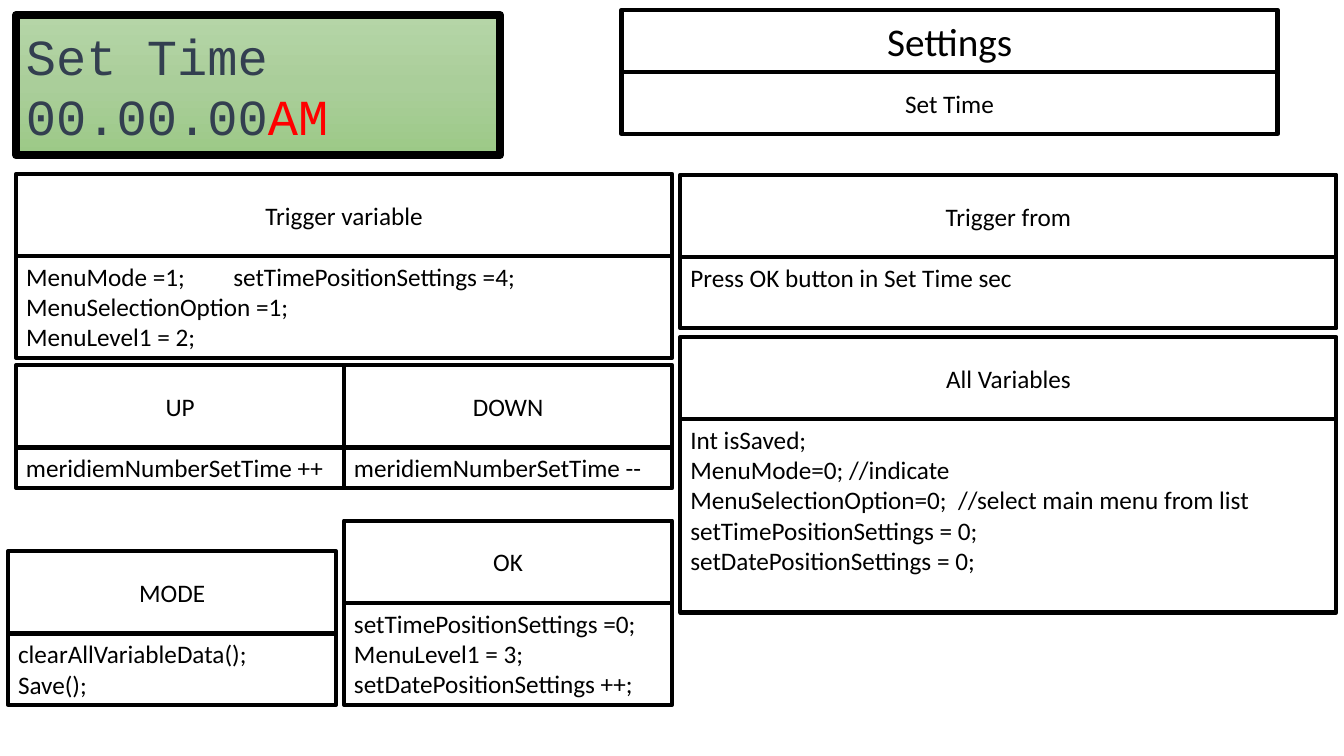
from copy import deepcopy
from dataclasses import dataclass

from pptx import Presentation
from pptx.dml.color import RGBColor
from pptx.enum.shapes import MSO_SHAPE
from pptx.enum.text import MSO_ANCHOR, PP_ALIGN
from pptx.oxml.ns import qn
from pptx.util import Pt

RECT = MSO_SHAPE.RECTANGLE
TOP, MIDDLE = MSO_ANCHOR.TOP, MSO_ANCHOR.MIDDLE
LEFT, CENTER = PP_ALIGN.LEFT, PP_ALIGN.CENTER


@dataclass(frozen=True)
class Theme:
    ink: str = "000000"
    paper: str = "FFFFFF"
    screen: tuple = ((0, "B5D5A7"), (0.5, "AACE9A"), (1, "9CC987"))
    digit: str = "333F50"
    active: str = "FF0000"
    font: str = "Calibri"
    mono: str = "Courier New"
    body: int = 18
    title: int = 28
    screen_size: int = 36
    border: int = 3
    frame: int = 6


THEME = Theme()
WIDE = 468.6
HALF = WIDE / 2
COL_A = 11.5
COL_B = COL_A + HALF
COL_C = 486
HEAD = 58.8
ROW = 21.8
PAD = 7.2


def rgb(color):
    return RGBColor.from_string(color)


def write(shape, lines, size=THEME.body, font=THEME.font, color=THEME.ink,
          align=LEFT, anchor=TOP):
    """Fill a shape with lines, each a string or a list of (text, color)."""
    frame = shape.text_frame
    frame.word_wrap = True
    frame.vertical_anchor = anchor
    for i, line in enumerate(lines):
        para = frame.paragraphs[0] if i == 0 else frame.add_paragraph()
        para.alignment = align
        parts = [(line, color)] if isinstance(line, str) else line
        for text, tint in parts:
            run = para.add_run()
            run.text = text
            run.font.size = Pt(size)
            run.font.name = font
            run.font.color.rgb = rgb(tint)


def box(slide, x, y, w, h, fill=None, border=THEME.border):
    shape = slide.shapes.add_shape(RECT, Pt(x), Pt(y), Pt(w), Pt(h))
    shape.shadow.inherit = False
    shape.line.color.rgb = rgb(THEME.ink)
    shape.line.width = Pt(border)
    if fill:
        shape.fill.solid()
        shape.fill.fore_color.rgb = rgb(fill)
    else:
        shape.fill.background()
    return shape


def shade(shape, stops):
    """Give a shape a gradient that runs from top to bottom."""
    shape.fill.gradient()
    shape.fill.gradient_angle = 270
    first = next(shape._element.spPr.iter(qn("a:gs")))
    for _ in stops[2:]:
        first.addnext(deepcopy(first))
    for stop, (place, color) in zip(shape.fill.gradient_stops, stops):
        stop.position = place
        stop.color.rgb = rgb(color)


def header(slide, text, x, y, w, h=HEAD, size=THEME.body):
    shape = box(slide, x, y, w, h, fill=THEME.paper)
    write(shape, [text], size=size, align=CENTER, anchor=MIDDLE)


def panel(slide, title, lines, x, y, w, rows=None):
    """Draw a header with a body below it, tall enough for its rows."""
    tall = PAD + ROW * (rows or len(lines))
    write(box(slide, x, y + HEAD, w, tall), lines)
    header(slide, title, x, y, w)


def screen(slide):
    shape = box(slide, COL_A, 10.8, 345.6, 100, border=THEME.frame)
    shade(shape, THEME.screen)
    write(shape, ["Set Time", [("00.00.00", THEME.digit), ("AM", THEME.active)]],
          size=THEME.screen_size, font=THEME.mono, color=THEME.digit,
          anchor=MIDDLE)


def main():
    deck = Presentation()
    deck.slide_width, deck.slide_height = Pt(960), Pt(540)
    slide = deck.slides.add_slide(deck.slide_layouts[6])

    screen(slide)
    header(slide, "Settings", 444, 7, WIDE, h=44.4, size=THEME.title)
    header(slide, "Set Time", 444, 51.4, WIDE, h=44.4)

    panels = [
        ("Trigger variable",
         ["MenuMode =1; \t setTimePositionSettings =4;",
          "MenuSelectionOption =1;", "MenuLevel1 = 2;"],
         COL_A, 124.3, WIDE),
        ("Trigger from", ["Press OK button in Set Time sec"],
         COL_C, 124.9, WIDE, 2),
        ("All Variables",
         ["Int isSaved;", "MenuMode=0; //indicate",
          "MenuSelectionOption=0;  //select main menu from list",
          "setTimePositionSettings = 0;", "setDatePositionSettings = 0;"],
         COL_C, 240.7, WIDE, 6),
        ("UP", ["meridiemNumberSetTime ++"], COL_A, 260.8, HALF),
        ("DOWN", ["meridiemNumberSetTime --"], COL_B, 260.8, HALF),
        ("MODE", ["clearAllVariableData();", "Save();"], 5.8, 393.8, HALF),
        ("OK",
         ["setTimePositionSettings =0;", "MenuLevel1 = 3;",
          "setDatePositionSettings ++;"],
         COL_B, 372, HALF),
    ]
    for item in panels:
        panel(slide, *item)

    deck.save("out.pptx")


if __name__ == "__main__":
    main()
